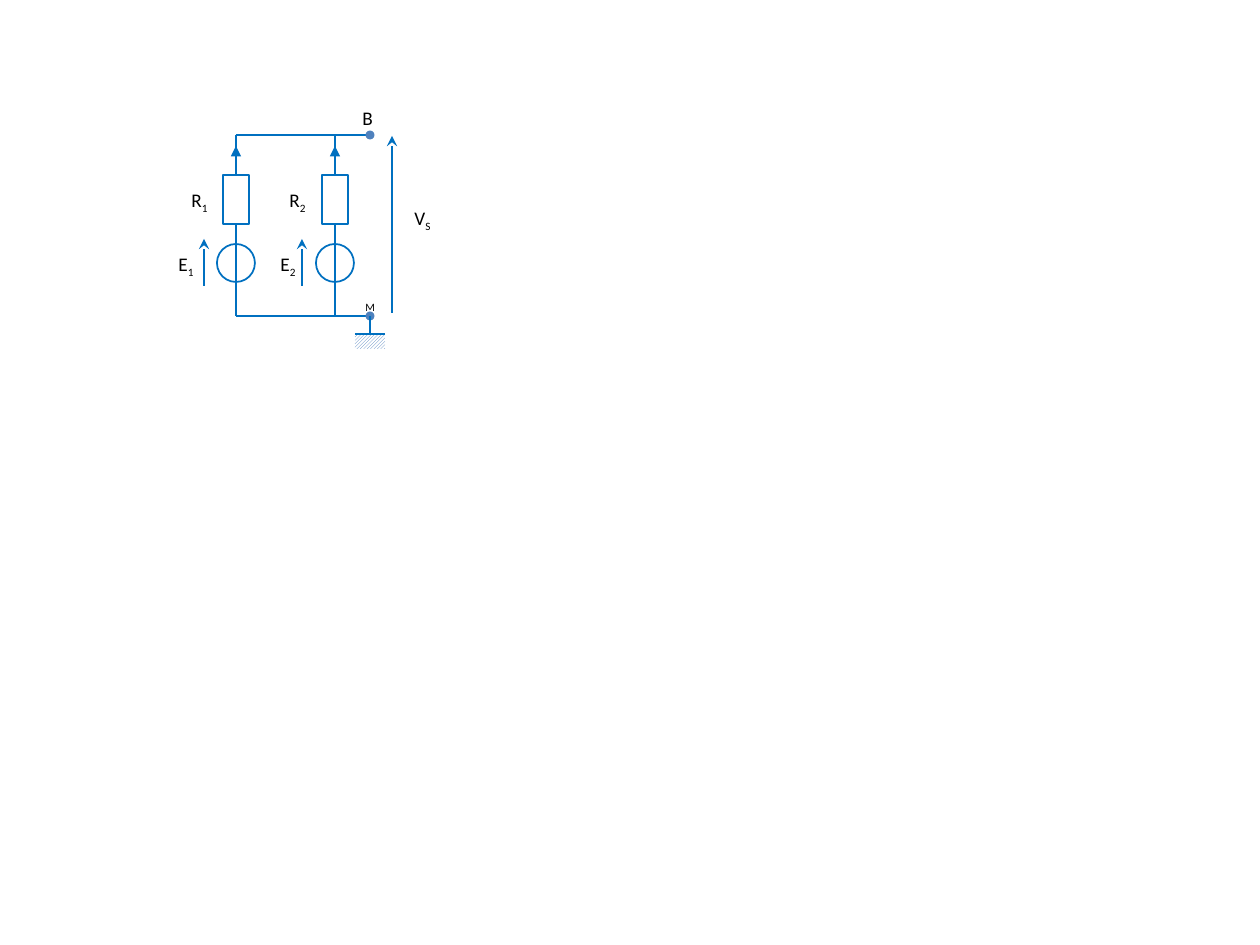
from pptx import Presentation
from pptx.dml.color import RGBColor
from pptx.enum.dml import MSO_PATTERN_TYPE as Pattern
from pptx.enum.shapes import MSO_CONNECTOR as Connector, MSO_SHAPE as Shape
from pptx.enum.text import MSO_AUTO_SIZE as AutoSize
from pptx.oxml.ns import qn
from pptx.util import Emu, Inches, Pt
from lxml.etree import SubElement

WIRE = RGBColor(0x00, 0x70, 0xC0)
NODE = RGBColor(0x4F, 0x81, 0xBD)
BLACK = RGBColor(0, 0, 0)
WHITE = RGBColor(255, 255, 255)


class Circuit:
    """Draws circuit elements on one page, with lengths in pixels."""

    scale = Inches(1) / 126
    font = "Calibri"
    size = Pt(11)
    width = Pt(1)

    def __init__(self, page):
        self.page = page

    def emu(self, *lengths):
        return [Emu(round(length * self.scale)) for length in lengths]

    def shape(self, kind, x, y, w, h):
        shape = self.page.shapes.add_shape(kind, *self.emu(x, y, w, h))
        shape.shadow.inherit = False
        return shape

    def outline(self, kind, x, y, w, h):
        shape = self.shape(kind, x, y, w, h)
        shape.fill.background()
        shape.line.color.rgb = WIRE
        shape.line.width = self.width

    def node(self, x, y):
        dot = self.shape(Shape.OVAL, x - 4.5, y - 4.5, 9, 9)
        dot.fill.solid()
        dot.fill.fore_color.rgb = NODE
        dot.line.fill.background()

    def hatch(self, x, y, w, h):
        earth = self.shape(Shape.RECTANGLE, x, y, w, h)
        earth.fill.patterned()
        earth.fill.pattern = Pattern.LIGHT_UPWARD_DIAGONAL
        earth.fill.fore_color.rgb = NODE
        earth.fill.back_color.rgb = WHITE
        earth.line.fill.background()

    def wire(self, x1, y1, x2, y2, head=None):
        wire = self.page.shapes.add_connector(
            Connector.STRAIGHT, *self.emu(x1, y1, x2, y2))
        wire.line.color.rgb = WIRE
        wire.line.width = self.width
        if head:
            SubElement(wire.line._get_or_add_ln(), qn("a:tailEnd"), type=head)
        SubElement(wire._element.spPr, qn("a:effectLst"))

    def label(self, x, y, name="", index="", h=36):
        box = self.page.shapes.add_textbox(*self.emu(x, y, 69, h))
        box.text_frame.word_wrap = True
        box.text_frame.auto_size = AutoSize.SHAPE_TO_FIT_TEXT
        para = box.text_frame.paragraphs[0]
        for text, baseline in ((name, None), (index, "-25000")):
            if text:
                span = para.add_run()
                span.text = text
                span.font.name = self.font
                span.font.size = self.size
                span.font.color.rgb = BLACK
                if baseline:
                    span.font._element.set("baseline", baseline)


deck = Presentation()
deck.slide_width, deck.slide_height = Inches(10), Inches(7.5)
circuit = Circuit(deck.slides.add_slide(deck.slide_layouts[6]))

TOP, BOTTOM, LEFT, TERMINAL = 135, 316, 236, 370
BRANCHES = [("1", LEFT, 204, 166, 179), ("2", 335, 302, 268, 277)]

for rail in (TOP, BOTTOM):
    circuit.wire(LEFT, rail, TERMINAL - 4, rail)
    circuit.node(TERMINAL, rail)

for index, x, arrow, source_label, resistor_label in BRANCHES:
    circuit.outline(Shape.RECTANGLE, x - 13, 175, 26, 49)
    circuit.outline(Shape.OVAL, x - 19, 244, 38, 38)
    circuit.wire(x, BOTTOM, x, 224)
    circuit.wire(x, 175, x, TOP)
    circuit.wire(x, 164, x, 146, "triangle")
    circuit.wire(arrow, 286, arrow, 239, "stealth")
    circuit.label(source_label, 246, "E", index)
    circuit.label(resistor_label, 182, "R", index)

circuit.wire(TERMINAL, 334, TERMINAL, BOTTOM)
circuit.hatch(TERMINAL - 15, 334, 30, 15)
circuit.wire(TERMINAL - 15, 334, TERMINAL + 15, 334)
circuit.wire(392, 313, 392, 136, "stealth")
circuit.label(350, 100, "B")
circuit.label(353, 281, index="M", h=28)
circuit.label(402, 200, "V", "S")

deck.save("out.pptx")
